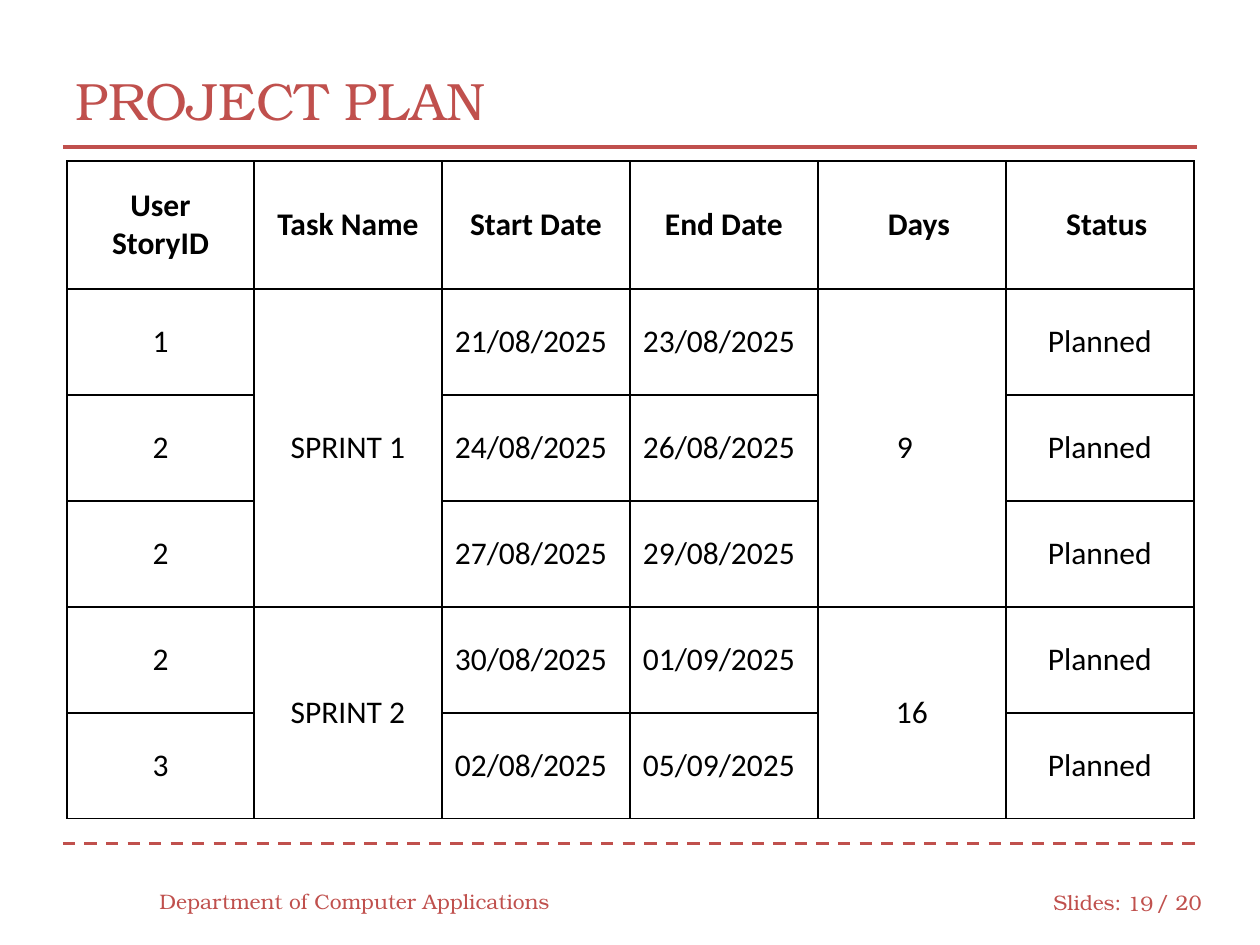
"""Build the project plan slide with its sprint schedule table."""
import pptx
import pptx.util
import pptx.dml.color
import pptx.enum.dml
import pptx.enum.shapes
import pptx.enum.text
import pptx.oxml
import pptx.oxml.ns

PX = 7257
RED, BLACK, WHITE = "C0504D", "000000", "FFFFFF"
ALIGN = pptx.enum.text.PP_ALIGN
MIDDLE = pptx.enum.text.MSO_ANCHOR.MIDDLE


def color(value):
    return pptx.dml.color.RGBColor.from_string(value)


def put(tf, text, size=12, font="TeX Gyre Bonum", fill=RED, bold=False, align=ALIGN.LEFT):
    tf.text = text
    tf.word_wrap = True
    tf.vertical_anchor = MIDDLE
    for p in tf.paragraphs:
        p.alignment = align
        for r in p.runs:
            r.font.size = pptx.util.Pt(size)
            r.font.name = font
            r.font.bold = bold
            r.font.color.rgb = color(fill)


prs = pptx.Presentation()
prs.slide_width, prs.slide_height = 1260 * PX, 945 * PX
s = prs.slides.add_slide(prs.slide_layouts[5])

title = s.shapes.title
title.left, title.top, title.width, title.height = 63 * PX, 42 * PX, 1134 * PX, 116 * PX
put(title.text_frame, "PROJECT PLAN", size=30)

for y, dash in [(844, pptx.enum.dml.MSO_LINE.DASH), (147, None)]:
    line = s.shapes.add_connector(
        pptx.enum.shapes.MSO_CONNECTOR.STRAIGHT, 63 * PX, y * PX, 1197 * PX, y * PX)
    line.line.color.rgb = color(RED)
    line.line.width = pptx.util.Pt(1.75)
    line.line.dash_style = dash
    line._element.spPr.append(pptx.oxml.parse_xml(
        f'<a:effectLst {pptx.oxml.ns.nsdecls("a")}/>'))

footers = [
    ("Department of Computer Applications", 147, 876, 420, ALIGN.LEFT),
    ("Slides:", 1041, 877, 95, ALIGN.LEFT),
    ("19", 1113, 878, 53, ALIGN.RIGHT),
    ("/ 20", 1144, 877, 73, ALIGN.LEFT),
]
for text, x, y, w, align in footers:
    sp = s.shapes.add_textbox(x * PX, y * PX, w * PX, 50 * PX)
    put(sp.text_frame, text, align=align)

rows = [
    ["User\nStoryID", "Task Name", "Start Date", "End Date", "Days", "Status"],
    ["1", "SPRINT 1", "21/08/2025", "23/08/2025", "9", "Planned"],
    ["2", "", "24/08/2025", "26/08/2025", "", "Planned"],
    ["2", "", "27/08/2025", "29/08/2025", "", "Planned"],
    ["2", "SPRINT 2", "30/08/2025", "01/09/2025", "16", "Planned"],
    ["3", "", "02/08/2025", "05/09/2025", "", "Planned"],
]
table = s.shapes.add_table(6, 6, 67 * PX, 161 * PX, 1127 * PX, 658 * PX).table
table.first_row = table.horz_banding = False
for i in range(6):
    table.columns[i].width = (188 if i else 187) * PX
    table.rows[i].height = (106 if i else 128) * PX

for i, row in enumerate(rows):
    for j, text in enumerate(row):
        cell = table.cell(i, j)
        is_date = i > 0 and j in (2, 3)
        put(cell.text_frame, text, size=18, font="Calibri", fill=BLACK, bold=i == 0,
            align=ALIGN.LEFT if is_date else ALIGN.CENTER)
        cell.vertical_anchor = MIDDLE
        cell.margin_left = (27 if text in ("Days", "Status") else 13) * PX
        cell.margin_right = (27 if text == "9" else 13) * PX
        cell.margin_top = cell.margin_bottom = (6 if is_date else 13) * PX
        cell.fill.solid()
        cell.fill.fore_color.rgb = color(WHITE)
        tcPr = cell._tc.get_or_add_tcPr()
        for k, side in enumerate("LRTB"):
            tcPr.insert(k, pptx.oxml.parse_xml(
                f'<a:ln{side} {pptx.oxml.ns.nsdecls("a")} w="12700"><a:solidFill>'
                f'<a:srgbClr val="{BLACK}"/></a:solidFill></a:ln{side}>'))

for first, last in [(1, 3), (4, 5)]:
    for j in (1, 4):
        table.cell(first, j).merge(table.cell(last, j))

prs.save("out.pptx")
